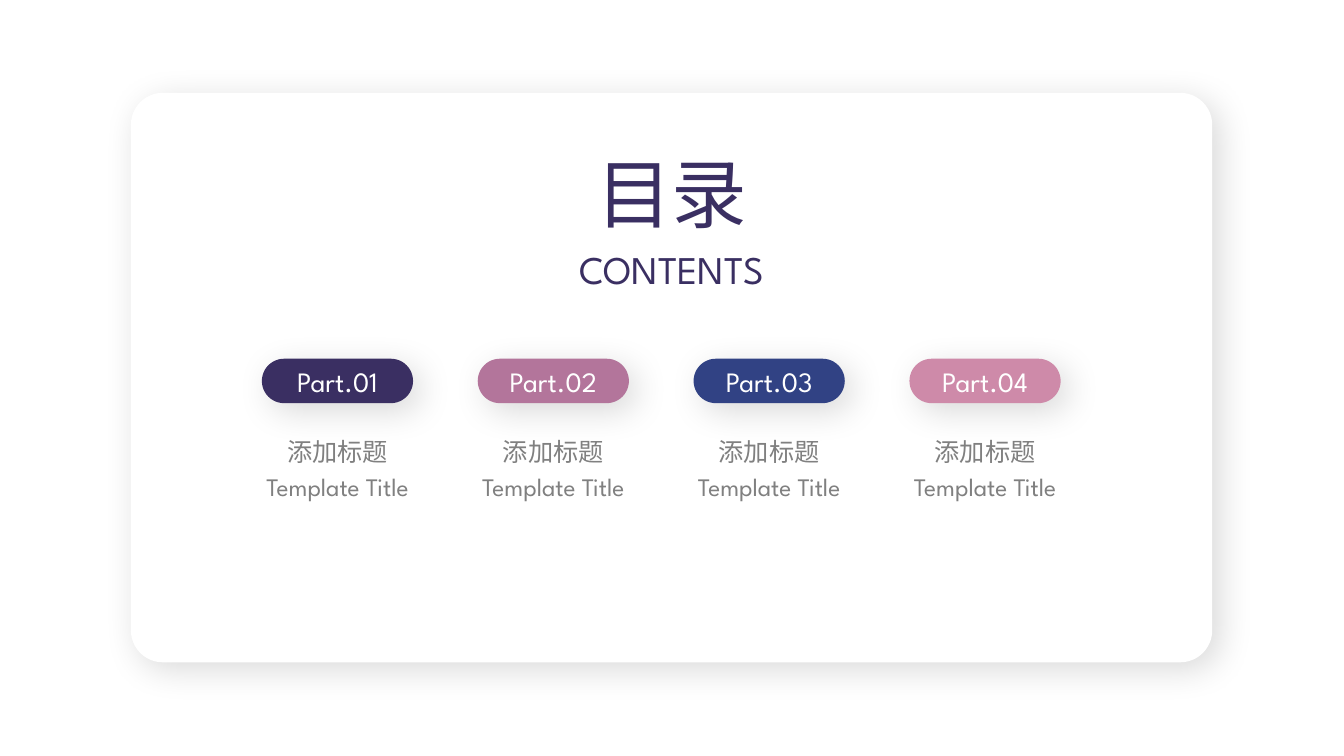
from lxml import etree
from pptx import Presentation
from pptx import util as u
from pptx.dml.color import RGBColor
from pptx.enum import shapes, text
from pptx.oxml.ns import qn

LATIN, CHINESE = "League Spartan", "Noto Sans CJK JP"
INDIGO, GREY, WHITE = "3A2F62", "808080", "FFFFFF"
PARTS = [
    ("Part.01", INDIGO),
    ("Part.02", "B3759B"),
    ("Part.03", "314284"),
    ("Part.04", "CE8AA9"),
]


def colour(value):
    """Turn a hex string into a colour."""
    return RGBColor.from_string(value)


def write(shape, words, size, ink, font=LATIN, anchor=text.MSO_ANCHOR.TOP, grow=True):
    """Put one centred line of formatted text into a shape."""
    frame = shape.text_frame
    frame.word_wrap = False
    frame.vertical_anchor = anchor
    frame.auto_size = (
        text.MSO_AUTO_SIZE.SHAPE_TO_FIT_TEXT if grow else text.MSO_AUTO_SIZE.NONE
    )
    line = frame.paragraphs[0]
    line.alignment = text.PP_ALIGN.CENTER
    run = line.add_run()
    run.text = words
    run.font.size = u.Pt(size)
    run.font.name = font
    run.font.color.rgb = colour(ink)
    east_asian = etree.Element(qn("a:ea"), typeface=CHINESE)
    run.font._element.find(qn("a:latin")).addnext(east_asian)


def add_label(slide, left, top, width, height, words, size, ink):
    """Add a text box holding one line."""
    box = slide.shapes.add_textbox(u.Cm(left), u.Cm(top), u.Cm(width), u.Cm(height))
    write(box, words, size, ink)


def add_panel(slide, left, top, width, height, fill, rounding):
    """Add a rounded panel with a soft shadow towards the lower right."""
    panel = slide.shapes.add_shape(
        shapes.MSO_SHAPE.ROUNDED_RECTANGLE,
        u.Cm(left), u.Cm(top), u.Cm(width), u.Cm(height),
    )
    panel.adjustments[0] = rounding
    panel.fill.solid()
    panel.fill.fore_color.rgb = colour(fill)
    panel.line.fill.background()
    panel.shadow.inherit = False
    effects = panel._element.spPr.find(qn("a:effectLst"))
    shadow = etree.SubElement(
        effects, qn("a:outerShdw"), blurRad=str(u.Pt(25)), dist=str(u.Pt(8)),
        dir=str(45 * 60000), algn="tl", rotWithShape="0",
    )
    tint = etree.SubElement(shadow, qn("a:srgbClr"), val="000000")
    etree.SubElement(tint, qn("a:alpha"), val="15000")
    return panel


def add_heading(slide, left, top, width):
    """Place the title and its English line, centred in the given width."""
    title = slide.shapes.title
    title.left, title.top = u.Cm(left + (width - 4.34) / 2), u.Cm(top)
    title.width, title.height = u.Cm(4.34), u.Cm(2.57)
    write(title, "目录", 54, INDIGO, font=CHINESE)
    add_label(slide, left + (width - 5.54) / 2, top + 2.47, 5.54, 1.45,
              "CONTENTS", 28, INDIGO)


def add_part(slide, left, top, width, number, fill):
    """Add a part pill with its two captions below."""
    pill = add_panel(slide, left, top, width, 1.12, fill, 0.5)
    write(pill, number, 20, WHITE, anchor=text.MSO_ANCHOR.MIDDLE, grow=False)
    captions = [("添加标题", 3.07, 1.83), ("Template Title", 4.78, 2.72)]
    for words, span, drop in captions:
        add_label(slide, left + (width - span) / 2, top + drop, span, 1.02,
                  words, 18, GREY)


def add_contents(slide, left, top, width, height):
    """Build the contents card with its heading and row of parts."""
    add_panel(slide, left, top, width, height, WHITE, 0.056)
    add_heading(slide, left, top + 1.24, width)
    for index, (number, fill) in enumerate(PARTS):
        add_part(slide, left + 3.3 + index * 5.44, top + 6.7, 3.81, number, fill)


def main():
    """Create the deck with its contents slide."""
    deck = Presentation()
    deck.slide_width, deck.slide_height = u.Cm(33.87), u.Cm(19.05)
    slide = deck.slides.add_slide(deck.slide_layouts[5])
    slide.background.fill.solid()
    slide.background.fill.fore_color.rgb = colour(WHITE)
    add_contents(slide, 3.3, 2.34, 27.25, 14.35)
    tree = slide.shapes._spTree
    tree.remove(title := slide.shapes.title._element)
    tree.insert(3, title)
    deck.save("out.pptx")


if __name__ == "__main__":
    main()
